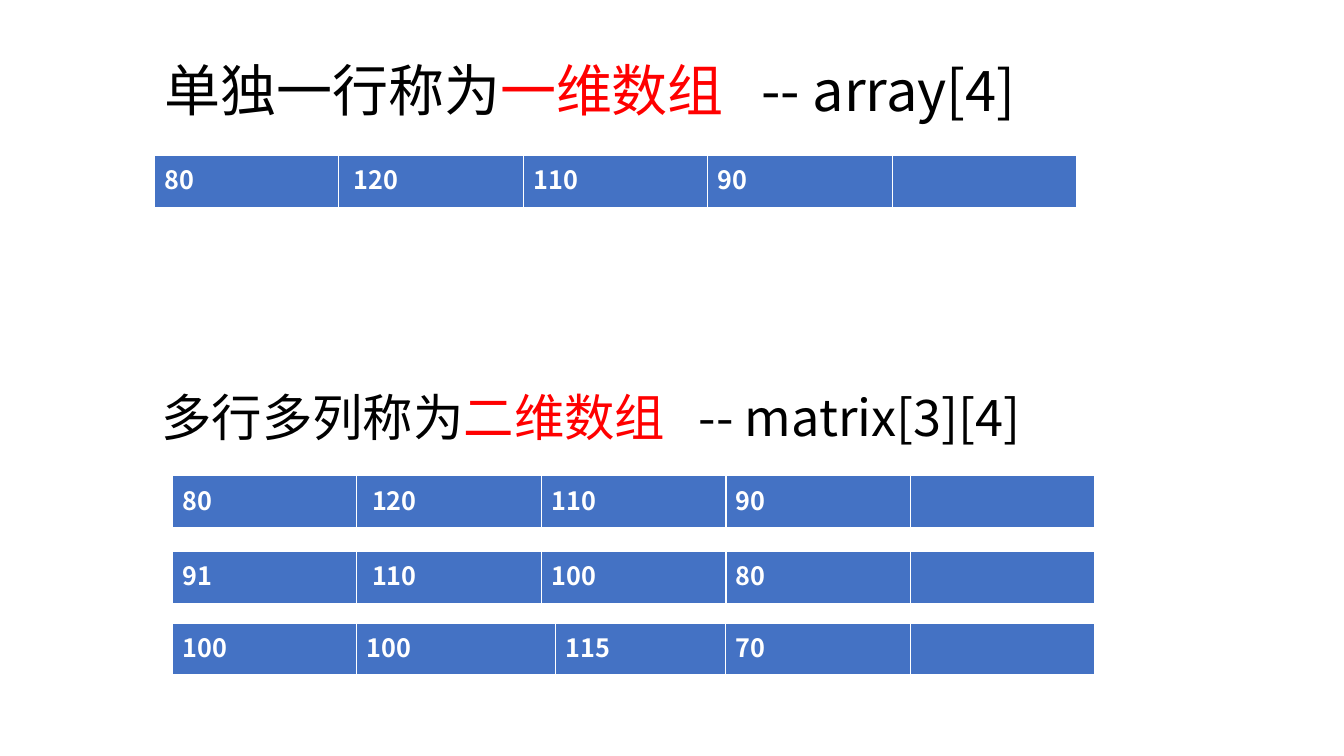
from dataclasses import dataclass

from lxml import etree
from pptx import Presentation
from pptx.dml.color import RGBColor
from pptx.enum.text import MSO_ANCHOR, MSO_AUTO_SIZE, PP_ALIGN
from pptx.oxml.ns import qn
from pptx.util import Inches, Pt

TOP = MSO_ANCHOR.TOP
NO_FIT = MSO_AUTO_SIZE.NONE
LEFT = PP_ALIGN.LEFT


@dataclass(frozen=True)
class Theme:
    font: str = "Noto Sans CJK SC"
    ink: str = "000000"
    accent: str = "FF0000"
    cell: str = "4472C4"
    white: str = "FFFFFF"
    title: int = 40
    subtitle: int = 36
    value: int = 18


THEME = Theme()


def style_run(r, size, color, bold=False):
    r.font.size = Pt(size)
    r.font.bold = bold
    r.font.color.rgb = RGBColor.from_string(color)
    r.font.name = THEME.font
    etree.SubElement(r.font._element, qn("a:ea"), typeface=THEME.font)


def add_heading(sp, box, parts, size, tab, inset=0.1):
    sp.left, sp.top, sp.width, sp.height = map(Inches, box)
    tf = sp.text_frame
    tf.word_wrap = True
    tf.auto_size = NO_FIT
    tf.vertical_anchor = TOP
    tf.margin_left = Inches(inset)
    p = tf.paragraphs[0]
    p.alignment = LEFT
    p.line_spacing = 0.9
    tabs = etree.SubElement(p._p.get_or_add_pPr(), qn("a:tabLst"))
    etree.SubElement(tabs, qn("a:tab"), pos=str(Inches(tab)), algn="l")
    lead, term, code = parts
    for text, color in ((lead, THEME.ink), (term, THEME.accent), ("\t" + code, THEME.ink)):
        r = p.add_run()
        r.text = text
        style_run(r, size, color)


def add_borders(cell):
    tcPr = cell._tc.get_or_add_tcPr()
    for i, (side, width) in enumerate((("L", 1), ("R", 1), ("T", 1), ("B", 3))):
        ln = etree.Element(qn(f"a:ln{side}"), w=str(Pt(width)))
        fill = etree.SubElement(ln, qn("a:solidFill"))
        etree.SubElement(fill, qn("a:srgbClr"), val=THEME.white)
        tcPr.insert(i, ln)


def add_array(s, box, values, widths, indented):
    table = s.shapes.add_table(1, len(widths), *map(Inches, box)).table
    for i, (value, width) in enumerate(zip(values, widths)):
        table.columns[i].width = Inches(width)
        cell = table.cell(0, i)
        cell.fill.solid()
        cell.fill.fore_color.rgb = RGBColor.from_string(THEME.cell)
        add_borders(cell)
        if i in indented:
            cell.margin_left = Inches(0.15)
        if value:
            p = cell.text_frame.paragraphs[0]
            p.text = value
            style_run(p.runs[0], THEME.value, THEME.white, bold=True)


def add_one_dimension(s, left, top):
    add_heading(s.shapes.title, (left, top, 9.5, 0.77),
                ("单独一行称为", "一维数组", "-- array[4]"), THEME.title, 5.92)
    add_array(s, (left, top + 0.96, 9.15, 0.53),
              ("80", "120", "110", "90", ""), [1.83] * 5, {1})


def add_two_dimensions(s, left, top):
    box = (left, top, 9.64, 0.77)
    add_heading(s.shapes.add_textbox(*map(Inches, box)), box,
                ("多行多列称为", "二维数组", "-- matrix[3][4]"), THEME.subtitle, 5.33, 0.21)
    even = [1.83] * 5
    rows = (
        (0.87, ("80", "120", "110", "90", ""), even, {1}),
        (1.62, ("91", "110", "100", "80", ""), even, {1}),
        (2.33, ("100", "100", "115", "70", ""), [1.83, 1.97, 1.69, 1.83, 1.83], set()),
    )
    for offset, values, widths, indented in rows:
        add_array(s, (left + 0.32, top + offset, 9.15, 0.53), values, widths, indented)


def main():
    prs = Presentation()
    prs.slide_width, prs.slide_height = Inches(13.33), Inches(7.5)
    s = prs.slides.add_slide(prs.slide_layouts[5])
    add_one_dimension(s, 1.53, 0.58)
    add_two_dimensions(s, 1.39, 3.85)
    prs.save("out.pptx")


if __name__ == "__main__":
    main()
